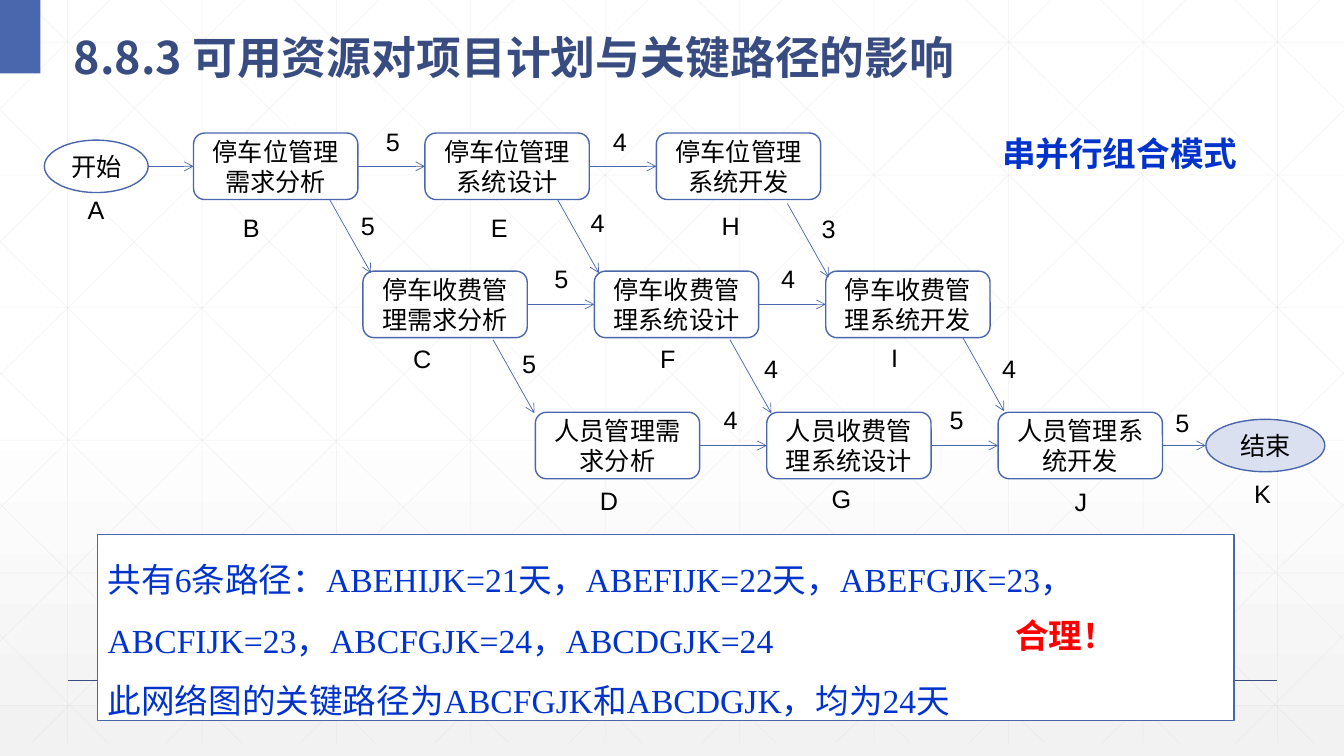
"""Build the slide on how resources change a project's critical path."""
from lxml.etree import SubElement
from pptx import Presentation
from pptx.dml.color import RGBColor
from pptx.enum.shapes import MSO_CONNECTOR, MSO_SHAPE
from pptx.enum.text import MSO_ANCHOR, PP_ALIGN
from pptx.oxml.ns import qn
from pptx.util import Inches, Pt

HUES = {"blue": "4A66AC", "navy": "384C81", "pale": "DAE0EF", "grid": "D9D9D9",
        "white": "FFFFFF", "gray": "F2F2F2", "black": "000000",
        "ink": "0033CC", "red": "FF0000"}
RGB = {name: RGBColor.from_string(code) for name, code in HUES.items()}

deck = Presentation()
deck.slide_width, deck.slide_height = Inches(13.33), Inches(7.5)
slide = deck.slides.add_slide(deck.slide_layouts[5])
shapes = slide.shapes
title = shapes.title


def link(start, end, hue="blue", width=0.5, arrow=True):
    line = shapes.add_connector(MSO_CONNECTOR.STRAIGHT, *map(Inches, start + end))
    line.line.color.rgb = RGB[hue]
    line.line.width = Pt(width)
    SubElement(line._element.spPr, qn("a:effectLst"))
    if arrow:
        SubElement(line.line._get_or_add_ln(), qn("a:tailEnd"), type="arrow")
    return line


def write(shape, text, size=18, hue="black", bold=False, align=PP_ALIGN.LEFT,
          face="Arial", space=None):
    frame = shape.text_frame
    frame.text = text
    for para in frame.paragraphs:
        para.alignment = align
        para.line_spacing = space
        font = para.font
        font.name, font.size, font.bold = face, Pt(size), bold
        font.color.rgb = RGB[hue]
    return frame


fill = slide.background.fill
fill.gradient()
fill.gradient_angle = 270
for stop, place, hue in zip(fill.gradient_stops, (0.53, 1), ("white", "gray")):
    stop.position = place
    stop.color.rgb = RGB[hue]

right, low, step = 13.33, 7.37, 4 / 3
grid = [((0.67 + step * i, 0), (0.67 + step * i, low)) for i in range(10)]
grid += [((0, 0.42 + 1.316 * i), (right, 0.42 + 1.316 * i)) for i in range(6)]
for i in range(10):
    x = 0.25 + step * i
    drop = min(low, (right - x) * 0.99)
    grid.append(((x, 0), (x + drop / 0.99, drop)))
    x = 1.09 + step * i
    drop = min(low, x * 0.99)
    grid.append(((x, 0), (x - drop / 0.99, drop)))
for i in range(5):
    x, y = 6.37 - 1.325 * i, 1.09 + 1.303 * i
    grid += [((x, low), (0, y)), ((right - x, low), (right, y))]
for start, end in grid:
    line = link(start, end, "grid", arrow=False)
    color = line.line._get_or_add_ln().find(".//" + qn("a:srgbClr"))
    SubElement(color, qn("a:alpha"), val="25000")

link((0.67, 6.75), (12.67, 6.75), "navy", 1, False)
bar = shapes.add_shape(MSO_SHAPE.RECTANGLE, 0, 0, Inches(0.4), Inches(0.73))
bar.fill.solid()
bar.fill.fore_color.rgb = RGB["blue"]
bar.line.fill.background()
bar.shadow.inherit = False

title.left, title.top = Inches(0.63), Inches(0.12)
title.width, title.height = Inches(12.13), Inches(0.73)
frame = write(title, "8.8.3 可用资源对项目计划与关键路径的影响", 32, "navy", True,
              face="Noto Sans CJK SC", space=1.3)
frame.vertical_anchor = MSO_ANCHOR.MIDDLE
shapes._spTree.append(title._element)

rows = [(1.92, 1.32, ("停车位管理需求分析", "停车位管理系统设计", "停车位管理系统开发")),
        (3.6, 2.69, ("停车收费管理需求分析", "停车收费管理系统设计", "停车收费管理系统开发")),
        (5.31, 4.09, ("人员管理需求分析", "人员收费管理系统设计", "人员管理系统开发"))]
round_box, oval = MSO_SHAPE.ROUNDED_RECTANGLE, MSO_SHAPE.OVAL
nodes = [(round_box, left + 2.295 * i, top, 1.63, 0.66, "white", text)
         for left, top, texts in rows for i, text in enumerate(texts)]
nodes += [(oval, 0.44, 1.39, 1.03, 0.52, "white", "开始"),
          (oval, 11.96, 4.16, 1.18, 0.52, "pale", "结束"),
          (MSO_SHAPE.RECTANGLE, 0.97, 5.3, 11.27, 1.85, "white", "")]
made = []
for kind, x, y, w, h, hue, text in nodes:
    node = shapes.add_shape(kind, *map(Inches, (x, y, w, h)))
    node.fill.solid()
    node.fill.fore_color.rgb = RGB[hue]
    node.line.color.rgb = RGB["blue"]
    node.line.width = Pt(1)
    node.shadow.inherit = False
    frame = write(node, text, align=PP_ALIGN.CENTER)
    frame.vertical_anchor = MSO_ANCHOR.MIDDLE
    made.append(node)

paths = ("共有6条路径：ABEHIJK=21天，ABEFIJK=22天，ABEFGJK=23，"
         "ABCFIJK=23，ABCFGJK=24，ABCDGJK=24\n"
         "此网络图的关键路径为ABCFGJK和ABCDGJK，均为24天")
frame = write(made[-1], paths, 24, "ink", face="Times New Roman", space=1.5)
frame.vertical_anchor = MSO_ANCHOR.TOP

for i in (0, 1, 3, 4, 6, 7):
    line = link((0, 0), (1, 0))
    line.begin_connect(made[i], 3)
    line.end_connect(made[i + 1], 1)
link((1.47, 1.65), (1.92, 1.65))
link((11.53, 4.42), (11.96, 4.42))
for x, y in ((3.27, 1.98), (5.53, 1.98), (7.81, 2.02),
             (4.89, 3.37), (7.24, 3.37), (9.55, 3.35)):
    link((x, y), (x + 0.41, y + 0.73))

days = [("5", 3.73, 1.2), ("4", 5.98, 1.2), ("5", 5.4, 2.56), ("4", 7.65, 2.56),
        ("4", 7.08, 3.96), ("5", 9.32, 3.96), ("5", 11.56, 3.99),
        ("5", 3.48, 2.04), ("4", 5.76, 2.01), ("3", 8.05, 2.07),
        ("5", 5.08, 3.41), ("4", 7.48, 3.46), ("4", 9.84, 3.46)]
names = [("A", 0.77, 1.88, 0.37), ("B", 2.31, 2.06, 0.37), ("C", 4, 3.36, 0.38),
         ("D", 5.85, 4.77, 0.38), ("E", 4.77, 2.06, 0.38), ("F", 6.45, 3.36, 0.36),
         ("G", 8.15, 4.75, 0.4), ("H", 7.06, 2.04, 0.38), ("I", 8.74, 3.35, 0.27),
         ("J", 10.56, 4.78, 0.33), ("K", 12.34, 4.7, 0.37)]
for text, x, y, w in [(*day, 0.34) for day in days] + names:
    label = shapes.add_textbox(*map(Inches, (x, y, w, 0.4)))
    write(label, text).word_wrap = False

for text, x, y, w, hue in (("串并行组合模式", 9.84, 1.27, 2.82, "ink"),
                           ("合理！", 9.97, 6.05, 1.21, "red")):
    note = shapes.add_textbox(*map(Inches, (x, y, w, 0.5)))
    write(note, text, 24, hue, True).word_wrap = True

deck.save("out.pptx")
